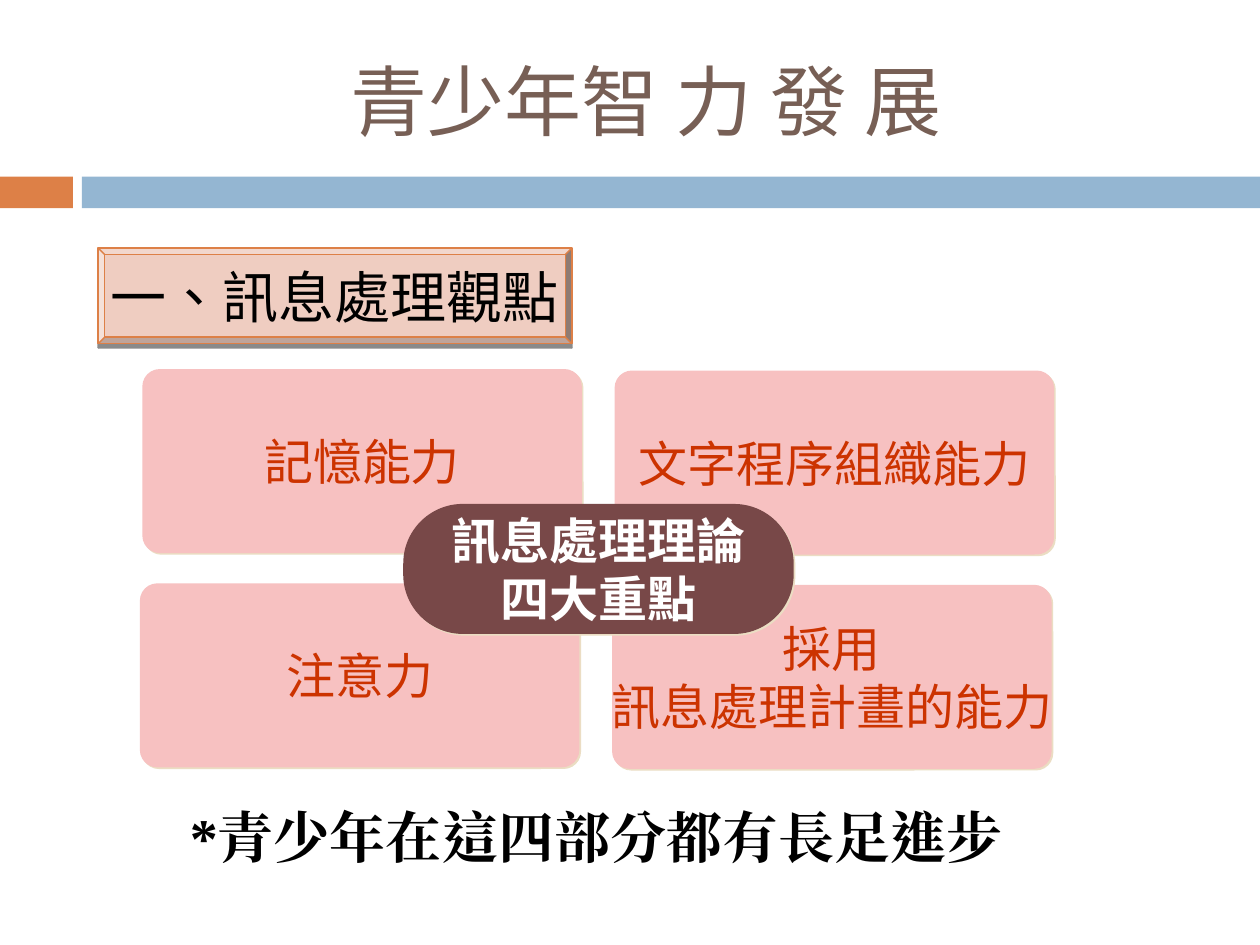
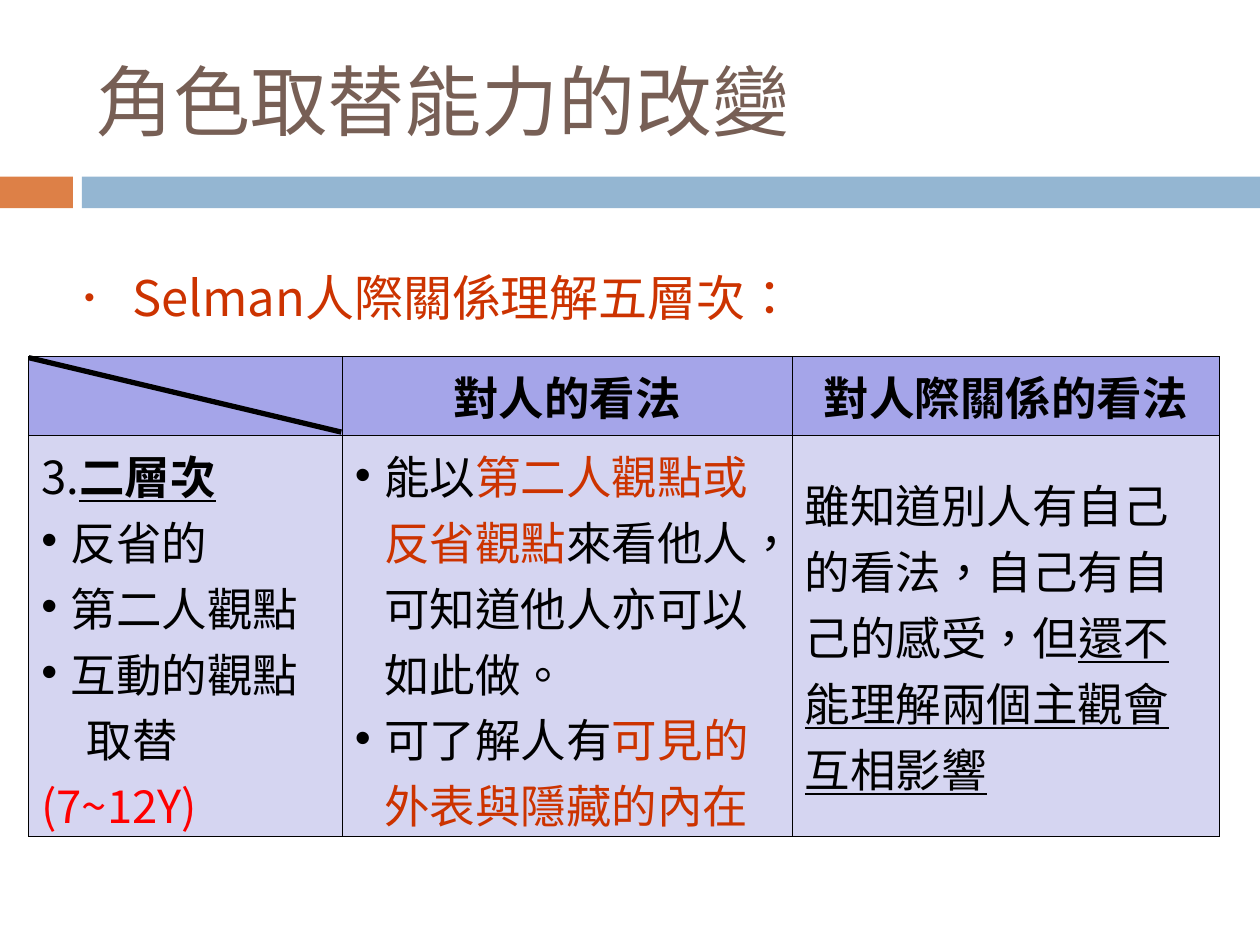
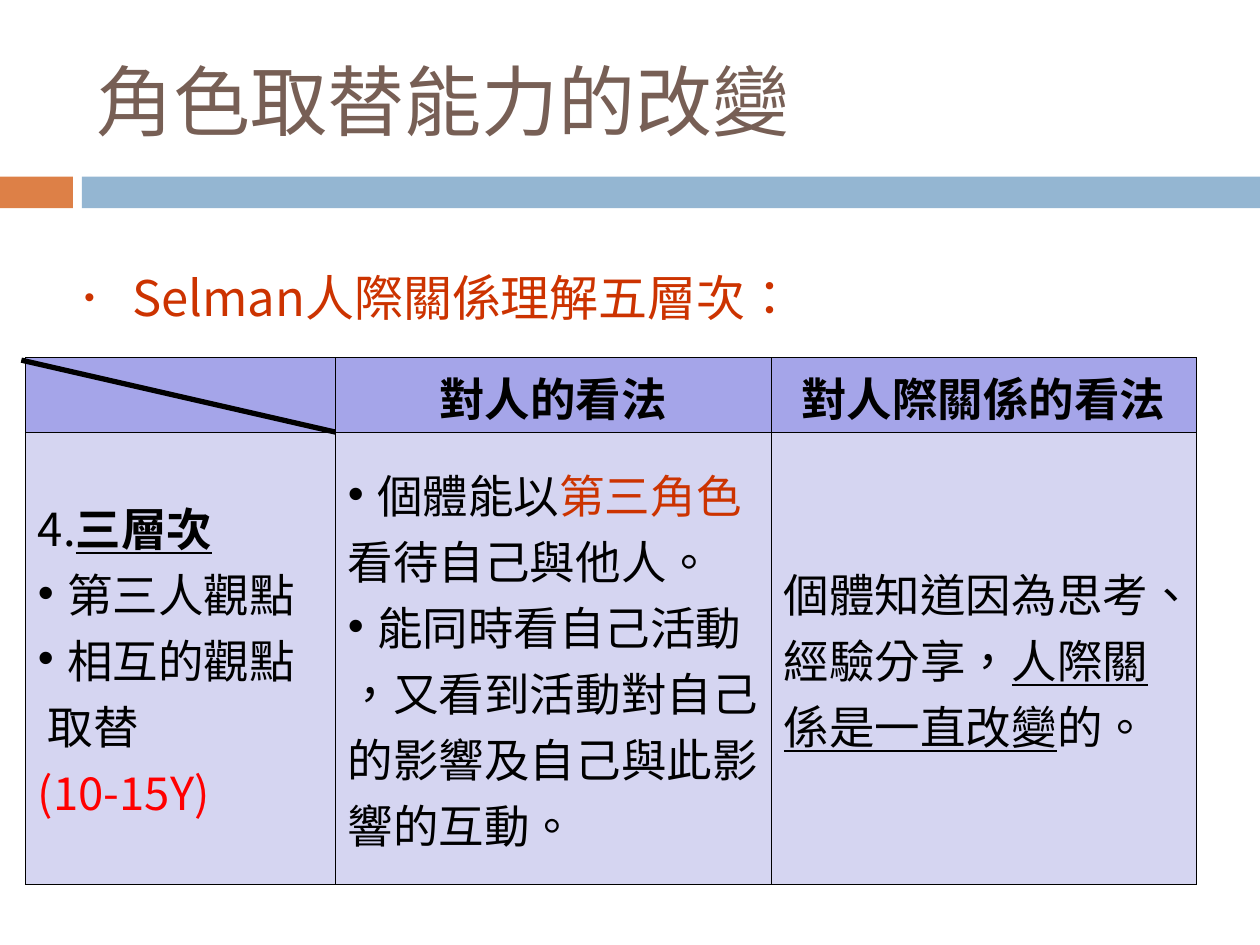
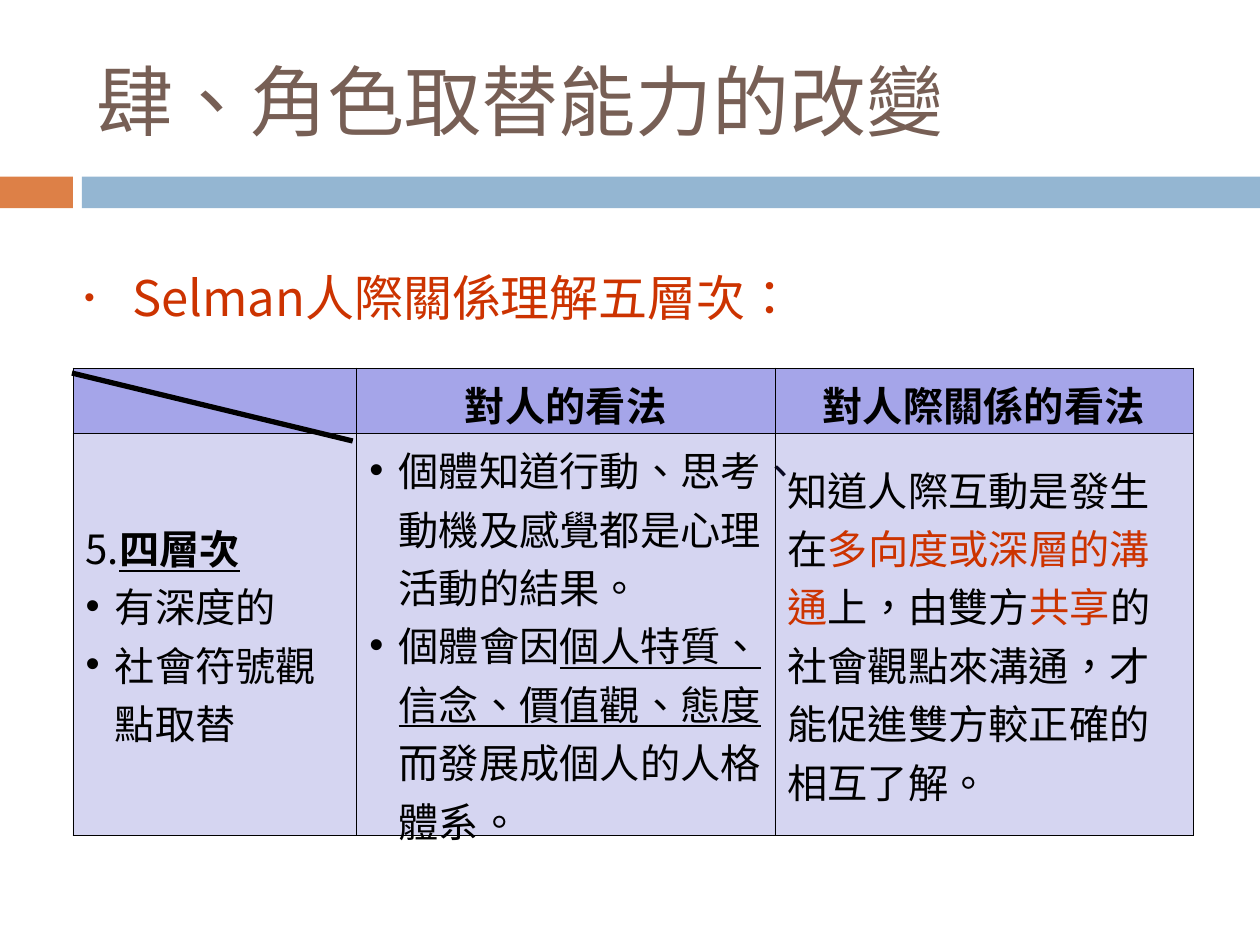
import pptx
import pptx.dml.color
import pptx.enum.shapes
import pptx.enum.text
import pptx.oxml.ns
import pptx.util
from lxml import etree

Cm = pptx.util.Cm
Pt = pptx.util.Pt
SHAPE = pptx.enum.shapes.MSO_SHAPE
ALIGN = pptx.enum.text.PP_ALIGN
ANCHOR = pptx.enum.text.MSO_ANCHOR

SANS = "Noto Sans CJK JP"
HEAD = "Cabin"
SERIF = "Times New Roman"
BLACK, WHITE, BROWN = "000000", "FFFFFF", "775F55"
RUST, RED = "CC3300", "FF0000"
ORANGE, BLUE = "DD8047", "94B6D2"
SAND, PINK, WINE = "EBDDC3", "F7C1C1", "784848"
LILAC, INDIGO = "A5A5E9", "2D2DB9"
INKS = {"r": RUST, "a": RED}
HANG = 0.59


def color(code):
    return pptx.dml.color.RGBColor.from_string(code)


def node(parent, tag, **attrs):
    child = etree.SubElement(parent, pptx.oxml.ns.qn("a:" + tag))
    for key, val in attrs.items():
        child.set(key, str(val))
    return child


class Deck:
    def __init__(self):
        self.prs = pptx.Presentation()
        self.prs.slide_width = Cm(25.4)
        self.prs.slide_height = Cm(19.05)
        self.slide = None

    def page(self, title, align=ALIGN.LEFT):
        """Start a slide with its two bands and its title."""
        self.slide = self.prs.slides.add_slide(self.prs.slide_layouts[6])
        self.shape(SHAPE.RECTANGLE, (0, 3.56, 1.47, 0.64), ORANGE)
        self.shape(SHAPE.RECTANGLE, (1.65, 3.56, 23.75, 0.64), BLUE)
        frame = self.box((1.7, 0.64, 22.66, 2.74), ANCHOR.MIDDLE)
        self.run(self.para(frame, align), title, 44, HEAD, BROWN)

    def run(self, para, text, size, font=SANS, ink=BLACK, bold=False, under=False):
        run = para.add_run()
        run.text = text
        run.font.size = Pt(size)
        run.font.bold = bold
        run.font.underline = under
        run.font.color.rgb = color(ink)
        run.font.name = font
        props = run._r.get_or_add_rPr()
        props.set("lang", "zh-TW")
        node(props, "ea", typeface=font)

    def para(self, frame, align=ALIGN.LEFT):
        """Return the empty first paragraph, or a new one after the rest."""
        para = frame.paragraphs[-1]
        if para.runs:
            para = frame.add_paragraph()
        para.alignment = align
        return para

    def indent(self, para, left, first=0):
        props = para._p.get_or_add_pPr()
        props.set("marL", str(Cm(left)))
        props.set("indent", str(Cm(first)))
        return props

    def bullet(self, para, hang, ink, scale=100):
        props = self.indent(para, hang, -hang)
        node(node(props, "buClr"), "srgbClr", val=ink)
        node(props, "buSzPct", val=scale * 1000)
        node(props, "buFont", typeface="Arial")
        node(props, "buChar", char="•")

    def box(self, place, anchor=ANCHOR.TOP):
        frame = self.slide.shapes.add_textbox(*map(Cm, place)).text_frame
        frame.word_wrap = True
        frame.vertical_anchor = anchor
        return frame

    def shape(self, kind, place, fill, line=None, bend=None):
        shape = self.slide.shapes.add_shape(kind, *map(Cm, place))
        shape.shadow.inherit = False
        shape.fill.solid()
        shape.fill.fore_color.rgb = color(fill)
        if line:
            shape.line.color.rgb = color(line)
            shape.line.width = Pt(0.79)
        else:
            shape.line.fill.background()
        if bend is not None:
            shape.adjustments[0] = bend
        return shape

    def shadow(self, shape, ink, alpha, dist, angle):
        effects = shape._element.spPr.find(pptx.oxml.ns.qn("a:effectLst"))
        outer = node(effects, "outerShdw", dist=Pt(dist), dir=angle * 60000,
                     algn="ctr", rotWithShape=0)
        node(node(outer, "srgbClr", val=ink), "alpha", val=alpha * 1000)

    def label(self, shape, lines, size, **style):
        frame = shape.text_frame
        frame.word_wrap = False
        frame.vertical_anchor = ANCHOR.MIDDLE
        for line in lines:
            self.run(self.para(frame, ALIGN.CENTER), line, size, **style)

    def card(self, place, lines, fill=PINK, bend=0.095, ink=RUST, bold=False):
        shape = self.shape(SHAPE.ROUNDED_RECTANGLE, place, fill, bend=bend)
        self.shadow(shape, SAND, 100, 1.4, 45)
        self.label(shape, lines, 28, ink=ink, bold=bold)

    def line(self, ends):
        line = self.slide.shapes.add_connector(
            pptx.enum.shapes.MSO_CONNECTOR.STRAIGHT, *map(Cm, ends))
        line.line.color.rgb = color(BLACK)
        line.line.width = Pt(3)
        node(line._element.spPr, "effectLst")

    def cell(self, cell, fill, alpha=None):
        """Give a cell thin black borders and its fill."""
        props = cell._tc.get_or_add_tcPr()
        for side in ("lnL", "lnR", "lnT", "lnB"):
            edge = node(props, side, w=Pt(0.45))
            node(node(edge, "solidFill"), "srgbClr", val=BLACK)
        cell.fill.solid()
        cell.fill.fore_color.rgb = color(fill)
        if alpha:
            tint = next(props.iter(pptx.oxml.ns.qn("a:solidFill")))
            for tint in props.findall(pptx.oxml.ns.qn("a:solidFill")):
                node(tint[0], "alpha", val=alpha * 1000)

    def table(self, left, top, cols, rows, size, body):
        """Each body paragraph is (lead, run, ...): the lead is a bullet or an
        indent; a run is plain text or (text, marks)."""
        grid = self.slide.shapes.add_table(
            2, 3, Cm(left), Cm(top), Cm(sum(cols)), Cm(sum(rows))).table
        grid.first_row = grid.horz_banding = False
        for col, width in zip(grid.columns, cols):
            col.width = Cm(width)
        for row, height in zip(grid.rows, rows):
            row.height = Cm(height)
        for num, head in enumerate(("", "對人的看法", "對人際關係的看法")):
            cell = grid.cell(0, num)
            self.cell(cell, LILAC)
            if head:
                para = self.para(cell.text_frame, ALIGN.CENTER)
                self.run(para, head, size, bold=True)
        for num, paras in enumerate(body):
            cell = grid.cell(1, num)
            self.cell(cell, INDIGO, 20)
            cell.vertical_anchor = ANCHOR.MIDDLE
            for lead, *runs in paras:
                para = self.para(cell.text_frame)
                if lead == "•":
                    self.bullet(para, HANG, BLACK)
                elif lead:
                    self.indent(para, lead)
                for part in runs:
                    text, marks = (part, "") if isinstance(part, str) else part
                    ink = next((INKS[m] for m in marks if m in INKS), BLACK)
                    self.run(para, text, size, ink=ink, bold="b" in marks,
                             under="u" in marks)

    def level(self, title, slash, *table):
        """A slide on one level: title, table, slash in its corner, lead line."""
        self.page(title)
        self.table(*table)
        self.line(slash)
        para = self.para(self.box((1.45, 5.05, 21.59, 1.75)))
        self.bullet(para, 0.97, RUST, 60)
        para.line_spacing = Pt(40)
        self.run(para, "Selman人際關係理解五層次：", 28, ink=RUST)


def main():
    deck = Deck()

    # Information processing: four cards around a centre
    deck.page("青少年智 力 發 展", ALIGN.CENTER)
    plate = deck.shape(SHAPE.BEVEL, (1.98, 5, 9.55, 1.93), "EFCDC1", ORANGE, 0.068)
    deck.shadow(plate, BLACK, 45, 2.4, 90)
    deck.label(plate, ["一、訊息處理觀點"], 32, font=HEAD)
    cards = [["記憶能力"], ["文字程序組織能力"],
             ["注意力"], ["採用", "訊息處理計畫的能力"]]
    for num, lines in enumerate(cards):
        row, col = divmod(num, 2)
        deck.card((2.87 + 9.52 * col - 0.05 * row,
                   7.44 + 4.32 * row + 0.03 * col, 8.86, 3.71), lines)
    deck.card((8.13, 10.16, 7.87, 2.62), ["訊息處理理論", "四大重點"],
              WINE, 0.458, WHITE, True)
    para = deck.para(deck.box((3.58, 16.05, 17.7, 1.57)))
    deck.indent(para, 0.97, -0.97)
    deck.run(para, "*青少年在這四部分都有長足進步", 32, SERIF, bold=True)

    # Level two
    deck.level(
        "角色取替能力的改變", (0.58, 7.21, 6.88, 8.71),
        0.58, 7.19, (6.32, 9.07, 8.61), (1.58, 8.08), 26, [
            [("", "3.", ("二層次", "bu")),
             ("•", "反省的"),
             ("•", "第二人觀點"),
             ("•", "互動的觀點"),
             (0.91, "取替"),
             ("", ("(7~12Y)", "a"))],
            [("•", "能以", ("第二人觀點或 反省觀點", "r"),
              "來看他人，可知道他人亦可以如此做。"),
             ("•", "可了解人有", ("可見的外表與隱藏的內在", "r"))],
            [("", "雖知道別人有自己的看法，自己有自己的感受，但",
              ("還不能理解兩個主觀會互相影響", "u"))]])

    # Level three
    deck.level(
        "角色取替能力的改變", (0.43, 7.26, 6.76, 8.71),
        0.51, 7.21, (6.25, 8.79, 8.56), (1.5, 9.12), 26, [
            [("", "4.", ("三層次", "bu")),
             ("•", "第三人觀點"),
             ("•", "相互的觀點"),
             (0.2, "取替"),
             ("", ("(10-15Y)", "a"))],
            [("•", "個體能以", ("第三角色", "r")),
             ("", "看待自己與他人。"),
             ("•", "能同時看自己活動"),
             ("", "，又看到活動對自己的影響及自己與此影響的互動。")],
            [("", "個體知道因為思考、經驗分享，",
              ("人際關係是一直改變", "u"), "的。")]])

    # Level four
    deck.level(
        "肆、角色取替能力的改變", (1.45, 7.52, 7.11, 8.89),
        1.47, 7.42, (5.72, 8.43, 8.43), (1.32, 8.1), 23, [
            [("", "5.", ("四層次", "bu")),
             ("•", "有深度的"),
             ("•", "社會符號觀點取替")],
            [("•", "個體知道行動、思考、動機及感覺都是心理活動的結果。"),
             ("•", "個體會因", ("個人特質、信念、價值觀、態度", "u"),
              "而發展成個人的人格體系。")],
            [("", "知道人際互動是發生在", ("多向度或深層的溝通", "r"),
              "上，由雙方", ("共享", "r"),
              "的社會觀點來溝通，才能促進雙方較正確的相互了解。")]])

    deck.prs.save("out.pptx")


if __name__ == "__main__":
    main()
